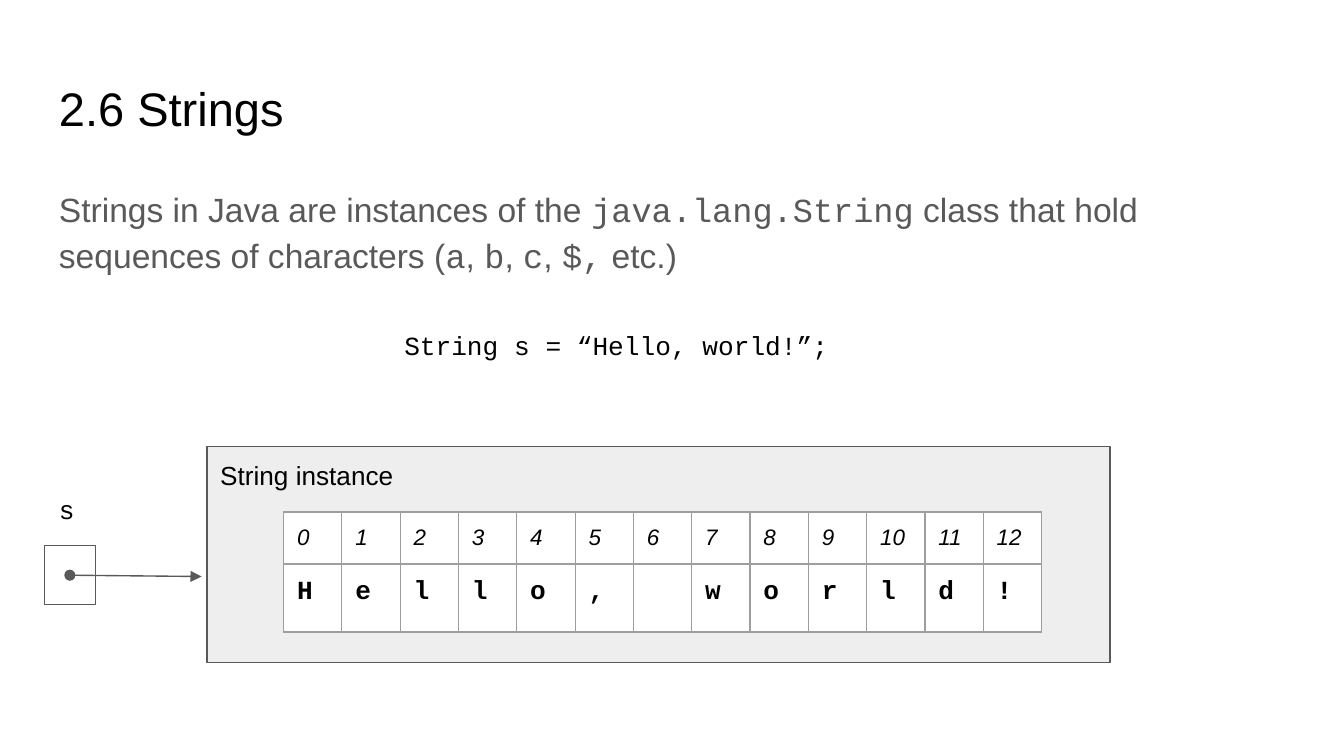
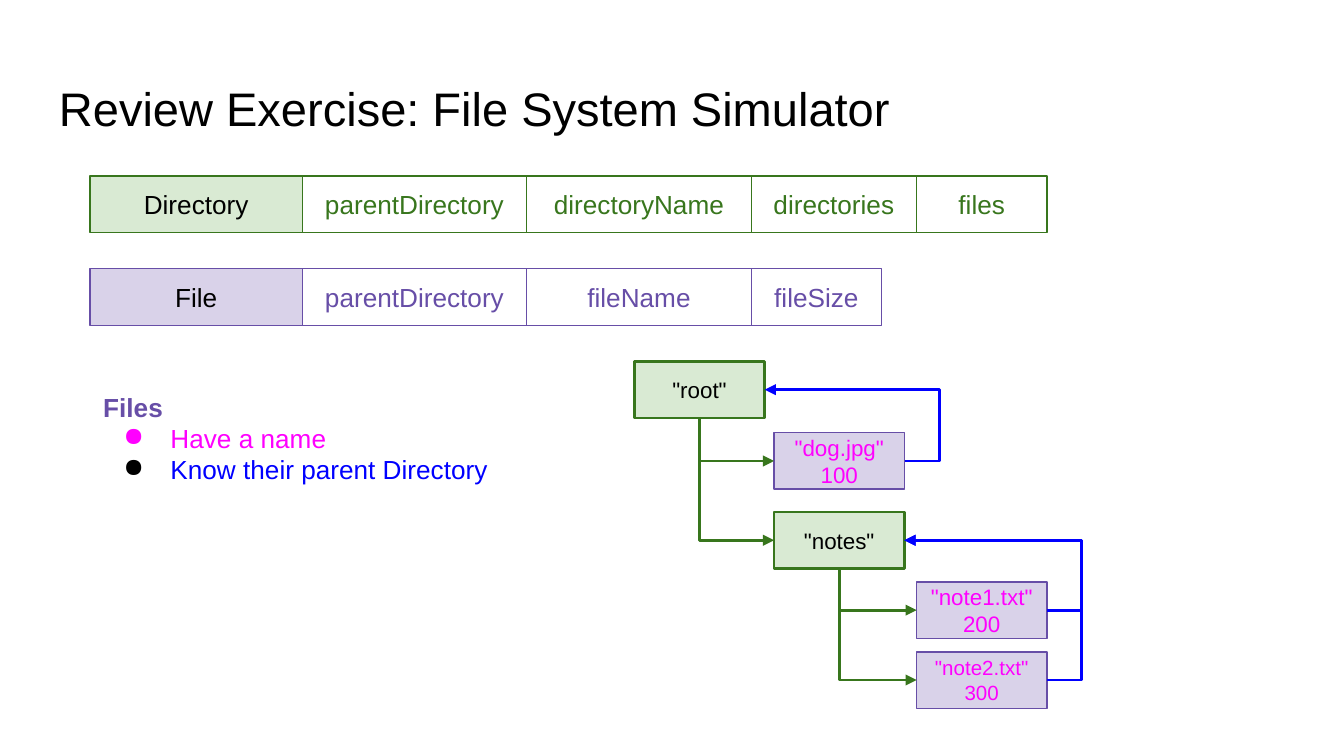
import dataclasses
import typing

import lxml.etree
import pptx
import pptx.dml.color
import pptx.enum.shapes
import pptx.enum.text
import pptx.oxml.ns
import pptx.util

Align = pptx.enum.text.PP_ALIGN
Anchor = pptx.enum.text.MSO_ANCHOR
AutoSize = pptx.enum.text.MSO_AUTO_SIZE
Connector = pptx.enum.shapes.MSO_CONNECTOR
qn = pptx.oxml.ns.qn

# The slide is a grid of square units, 100 columns wide and 56.25 rows high.
COLUMNS, ROWS = 100, 56.25
UNIT = pptx.util.Inches(10) / COLUMNS


@dataclasses.dataclass(frozen=True)
class Theme:
    sans: str = "Arial"
    mono: str = "Courier New"
    black: str = "000000"
    white: str = "FFFFFF"
    gray: str = "595959"
    panel: str = "EEEEEE"
    grid: str = "9E9E9E"
    green: str = "38761D"
    pale_green: str = "D9EAD3"
    purple: str = "674EA7"
    pale_purple: str = "D9D2E9"
    magenta: str = "FF00FF"
    blue: str = "0000FF"
    title: float = 25.2
    body: float = 18
    label: float = 14
    small: float = 12
    tiny: float = 11
    thin: float = 0.75
    thick: float = 1.5


THEME = Theme()


@dataclasses.dataclass(frozen=True)
class Area:
    """A rectangle in grid units."""
    left: float
    top: float
    width: float
    height: float

    @property
    def right(self) -> float:
        return self.left + self.width

    @property
    def center(self) -> float:
        return self.left + self.width / 2

    @property
    def middle(self) -> float:
        return self.top + self.height / 2

    @property
    def bottom(self) -> float:
        return self.top + self.height

    def lengths(self) -> list[int]:
        return [units(n) for n in (self.left, self.top, self.width, self.height)]


@dataclasses.dataclass(frozen=True)
class Record:
    """A class name followed by its fields, as (name, width) pairs."""
    name: str
    top: float
    color: str
    fill: str
    fields: tuple[tuple[str, float], ...]


@dataclasses.dataclass(frozen=True)
class Node:
    """A directory or a file in the tree."""
    text: str
    left: float
    top: float
    is_file: bool = True
    size: float = THEME.small

    @property
    def area(self) -> Area:
        return Area(self.left, self.top, 9.7, 4.2)


def units(count: float) -> int:
    return round(count * UNIT)


def rgb(color: str) -> pptx.dml.color.RGBColor:
    return pptx.dml.color.RGBColor.from_string(color)


# Text
def write(frame, text: str, *, size: float = THEME.label, color: str = THEME.black,
          font: str = THEME.sans, bold: bool = False, italic: bool = False,
          align=Align.LEFT, bullet: typing.Optional[str] = None,
          spacing: typing.Optional[float] = None, after: float = 0) -> None:
    """Add one paragraph; text between backticks is set in the code font."""
    fresh = len(frame.paragraphs) == 1 and not frame.paragraphs[0].runs
    para = frame.paragraphs[0] if fresh else frame.add_paragraph()
    para.alignment = align
    para.space_after = pptx.util.Pt(after)
    if spacing:
        para.line_spacing = spacing
    if bullet:
        properties = para._p.get_or_add_pPr()
        properties.set("marL", str(units(5)))
        properties.set("indent", str(units(-3.5)))
        tint = lxml.etree.SubElement(properties, qn("a:buClr"))
        lxml.etree.SubElement(tint, qn("a:srgbClr"), val=bullet)
        lxml.etree.SubElement(properties, qn("a:buChar"), char="●")
    for part, piece in enumerate(text.split("`")):
        for row, line in enumerate(piece.split("\n")):
            if row:
                para.add_line_break()
            span = para.add_run()
            span.text = line
            span.font.name = THEME.mono if part % 2 else font
            span.font.size = pptx.util.Pt(size)
            span.font.bold, span.font.italic = bold, italic
            span.font.color.rgb = rgb(color)


def prepare(frame, anchor=Anchor.TOP, auto_size=AutoSize.NONE):
    frame.word_wrap = True
    frame.auto_size = auto_size
    frame.vertical_anchor = anchor
    frame.margin_left = frame.margin_right = units(1)
    frame.margin_top = frame.margin_bottom = units(1)
    return frame


def add_text(page, area: Area, auto_size=AutoSize.NONE):
    return prepare(page.shapes.add_textbox(*area.lengths()).text_frame,
                   auto_size=auto_size)


# Shapes and lines
def add_box(page, area: Area, fill: str, line: str, weight: float = THEME.thin,
            anchor=Anchor.MIDDLE):
    box = page.shapes.add_shape(
        pptx.enum.shapes.MSO_SHAPE.RECTANGLE, *area.lengths())
    box.shadow.inherit = False
    box.fill.solid()
    box.fill.fore_color.rgb = rgb(fill)
    box.line.color.rgb = rgb(line)
    box.line.width = pptx.util.Pt(weight)
    return prepare(box.text_frame, anchor)


def add_line(page, kind, start: tuple[float, float], end: tuple[float, float],
             color: str, weight: float, head: str = "none", tail: str = "none"):
    line = page.shapes.add_connector(kind, *map(units, start + end))
    line.line.color.rgb = rgb(color)
    line.line.width = pptx.util.Pt(weight)
    properties = line._element.spPr
    stroke = properties.find(qn("a:ln"))
    for tag, shape in (("a:headEnd", head), ("a:tailEnd", tail)):
        lxml.etree.SubElement(stroke, qn(tag), type=shape, w="med", len="med")
    lxml.etree.SubElement(properties, qn("a:effectLst"))
    return line


def add_child_arrow(page, parent: Area, child: Area) -> None:
    """Run down from the parent's base, then right to the child."""
    start, end = (parent.center, parent.bottom), (child.left, child.middle)
    line = add_line(page, Connector.ELBOW, start, end, THEME.green,
                    THEME.thick, tail="triangle")
    across, drop = end[0] - start[0], end[1] - start[1]
    # A one-bend connector lies on its side, so its width is the drop.
    turned = Area((start[0] + end[0] - drop) / 2,
                  (start[1] + end[1] - across) / 2, drop, across)
    line.left, line.top, line.width, line.height = turned.lengths()
    properties = line._element.spPr
    frame = properties.find(qn("a:xfrm"))
    frame.set("rot", str(270 * 60000))
    frame.set("flipH", "1")
    properties.find(qn("a:prstGeom")).set("prst", "bentConnector2")


def add_parent_arrow(page, child: Area, parent: Area) -> None:
    """Loop from the child's right side back to the parent's."""
    line = add_line(page, Connector.ELBOW, (parent.right, parent.middle),
                    (child.right, child.middle), THEME.blue, THEME.thick,
                    head="triangle")
    reach = 1 + 2.6 / (child.right - parent.right)
    values = line._element.spPr.find(qn("a:prstGeom")).find(qn("a:avLst"))
    lxml.etree.SubElement(values, qn("a:gd"), name="adj1",
                          fmla=f"val {round(reach * 100000)}")


def add_character_table(page, word: str, left: float, top: float) -> None:
    column, heights = 4.34, (3, 4.5)
    area = Area(left, top, column * len(word), sum(heights))
    table = page.shapes.add_table(2, len(word), *area.lengths()).table
    table.first_row = table.horz_banding = False
    for row, height in zip(table.rows, heights):
        row.height = units(height)
    for index, letter in enumerate(word):
        table.columns[index].width = units(column)
        number, character = table.cell(0, index), table.cell(1, index)
        for cell in (number, character):
            style_cell(cell)
        write(number.text_frame, str(index), size=THEME.small, italic=True)
        if letter.strip():
            write(character.text_frame, letter, font=THEME.mono, bold=True)


def style_cell(cell) -> None:
    properties = cell._tc.get_or_add_tcPr()
    for side in ("a:lnL", "a:lnR", "a:lnT", "a:lnB"):
        border = lxml.etree.SubElement(
            properties, qn(side), w=str(pptx.util.Pt(THEME.thin)))
        paint = lxml.etree.SubElement(border, qn("a:solidFill"))
        lxml.etree.SubElement(paint, qn("a:srgbClr"), val=THEME.grid)
    cell.fill.solid()
    cell.fill.fore_color.rgb = rgb(THEME.white)
    cell.margin_left = cell.margin_right = units(1)
    cell.margin_top = cell.margin_bottom = units(1)


# Slides
def add_page(deck, title: str):
    page = deck.slides.add_slide(deck.slide_layouts[6])
    write(add_text(page, Area(3.4, 4.9, 93.2, 6.3)), title, size=THEME.title)
    return page


def build_strings(deck) -> None:
    page = add_page(deck, "2.6 Strings")
    write(add_text(page, Area(3.4, 12.6, 93.2, 9.1)),
          "Strings in Java are instances of the `java.lang.String` class that hold "
          "sequences of characters (`a`, `b`, `c`, `$,` etc.)",
          size=THEME.body, color=THEME.gray, spacing=1.15, after=12)
    # The object in memory
    write(add_box(page, Area(15.4, 33.2, 67.2, 16.1), THEME.panel, THEME.gray,
                  anchor=Anchor.TOP), "String instance")
    add_character_table(page, "Hello, world!", 21.1, 38.1)
    # The declaration and its reference
    write(add_text(page, Area(29.1, 23.5, 48, 4.4)),
          "String s = “Hello, world!”;", font=THEME.mono)
    write(add_text(page, Area(3.4, 35.7, 3.5, 4.4)), "s", font=THEME.mono)
    variable = Area(3.3, 40.6, 3.8, 4.4)
    add_box(page, variable, THEME.white, THEME.gray)
    add_line(page, Connector.STRAIGHT, (variable.center, variable.middle),
             (15, 42.9), THEME.gray, THEME.thin, "oval", "triangle")


def add_record(page, record: Record) -> None:
    left = 6.7
    for index, (name, width) in enumerate(((record.name, 15.8),) + record.fields):
        area = Area(left, record.top, width, 4.2)
        fill = THEME.white if index else record.fill
        write(add_box(page, area, fill, record.color), name, align=Align.CENTER,
              color=record.color if index else THEME.black)
        left = area.right


def add_node(page, node: Node) -> None:
    look = ((THEME.pale_purple, THEME.purple, THEME.thin) if node.is_file
            else (THEME.pale_green, THEME.green, THEME.thick))
    write(add_box(page, node.area, *look), node.text, size=node.size,
          color=THEME.magenta if node.is_file else THEME.black, align=Align.CENTER)


def build_file_system(deck) -> None:
    page = add_page(deck, "Review Exercise: File System Simulator")
    # Class layouts
    add_record(page, Record("Directory", 13.1, THEME.green, THEME.pale_green, (
        ("parentDirectory", 16.7), ("directoryName", 16.7),
        ("directories", 12.3), ("files", 9.7))))
    add_record(page, Record("File", 20, THEME.purple, THEME.pale_purple, (
        ("parentDirectory", 16.7), ("fileName", 16.7), ("fileSize", 9.7))))
    # Directory tree
    root = Node('"root"', 47.2, 26.9, is_file=False)
    dog = Node('"dog.jpg"\n100', 57.6, 32.2)
    notes = Node('"notes"', 57.6, 38.1, is_file=False)
    first = Node('"note1.txt"\n200', 68.2, 43.3)
    second = Node('"note2.txt"\n300', 68.2, 48.5, size=THEME.tiny)
    for node in (root, dog, notes, first, second):
        add_node(page, node)
    for parent, child in ((root, dog), (root, notes), (notes, first), (notes, second)):
        add_child_arrow(page, parent.area, child.area)
        if child.is_file:
            add_parent_arrow(page, child.area, parent.area)
    # What files do
    facts = add_text(page, Area(6.7, 28.1, 36.7, 9.1), AutoSize.SHAPE_TO_FIT_TEXT)
    write(facts, "Files", color=THEME.purple, bold=True)
    write(facts, "Have a name", color=THEME.magenta, bullet=THEME.magenta)
    write(facts, "Know their parent Directory", color=THEME.blue, bullet=THEME.black)


def main() -> None:
    deck = pptx.Presentation()
    deck.slide_width, deck.slide_height = units(COLUMNS), units(ROWS)
    build_strings(deck)
    build_file_system(deck)
    deck.save("out.pptx")


if __name__ == "__main__":
    main()
